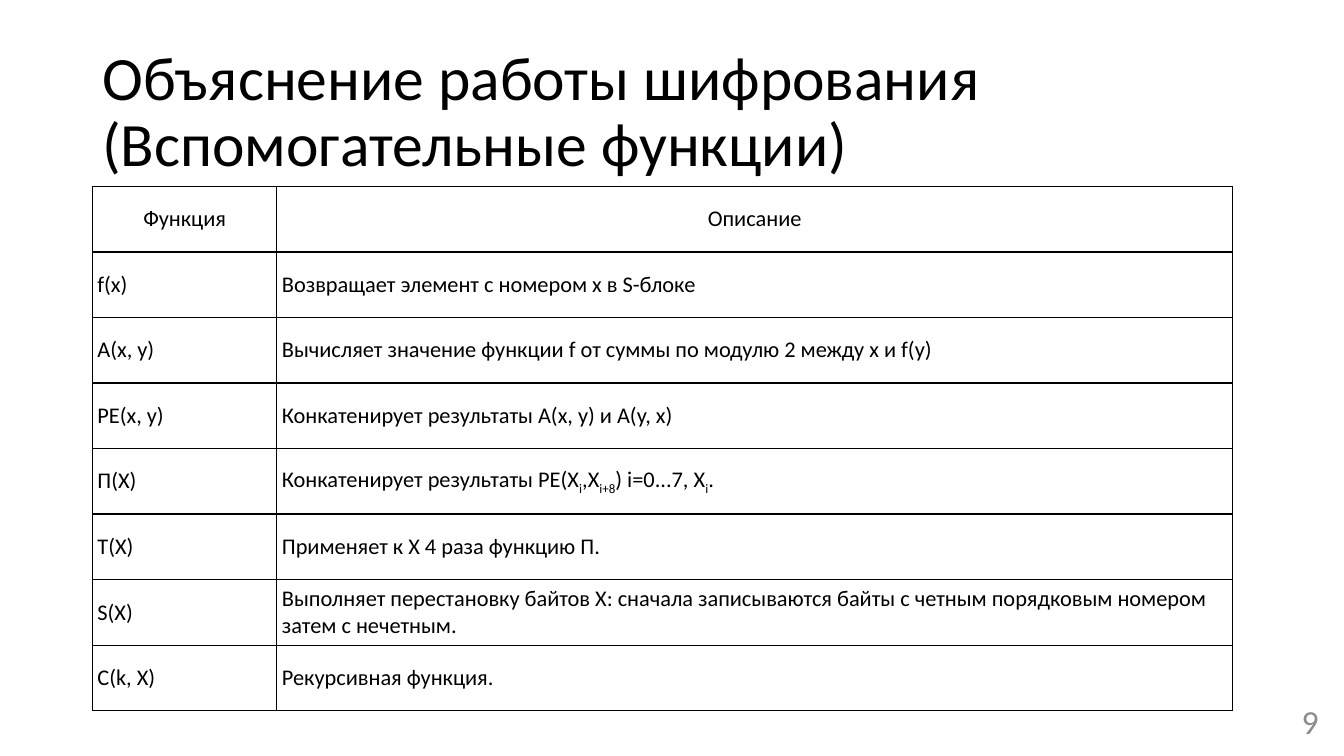
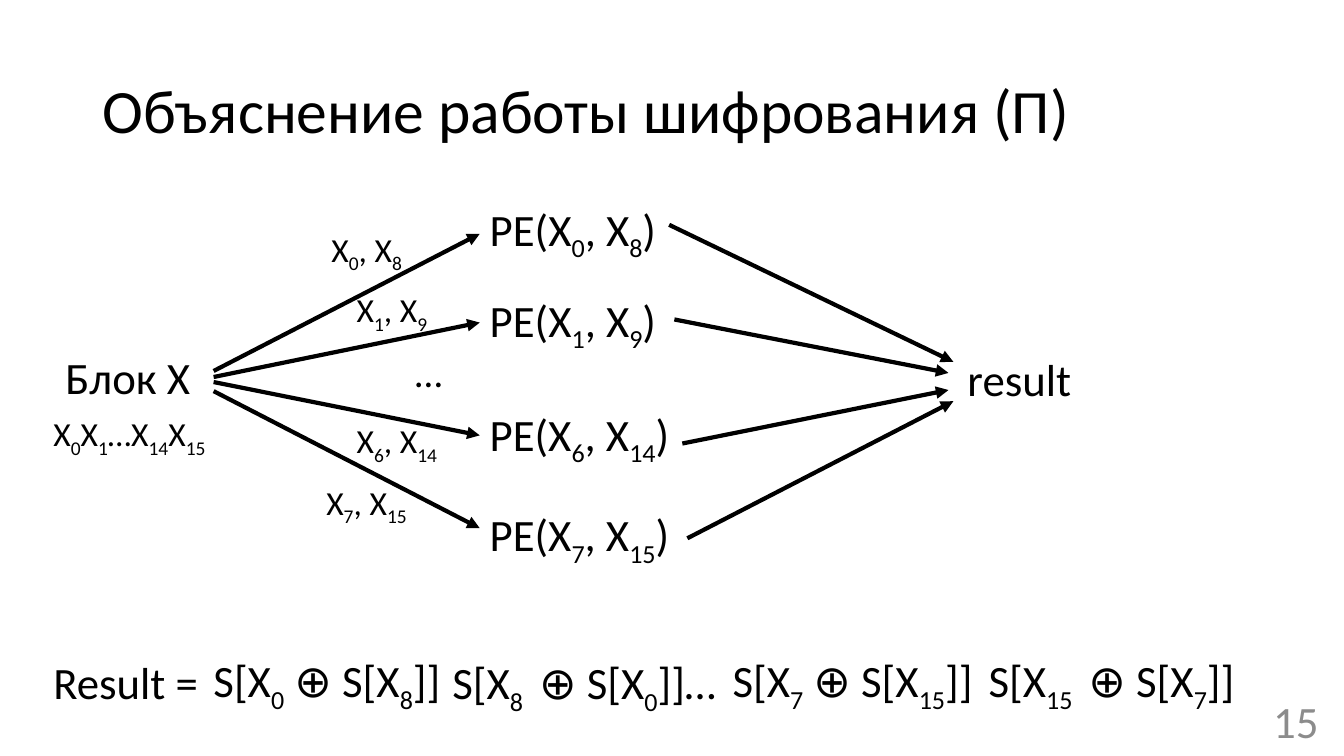
from dataclasses import dataclass

from lxml import etree
from pptx import Presentation
from pptx.dml.color import RGBColor
from pptx.enum import shapes, text
from pptx.oxml import ns
from pptx.util import Pt

FONT = "Calibri"
BLACK, GRAY = "000000", "8C8C8C"
CENTER, RIGHT = text.PP_ALIGN.CENTER, text.PP_ALIGN.RIGHT
MIDDLE = text.MSO_ANCHOR.MIDDLE
SUBSCRIPT = "-25000"


@dataclass
class Label:
    """Text at a place; parts between ~ signs are subscripts."""
    x: float
    y: float
    w: float
    content: str
    size: float = 32


@dataclass
class Branch:
    """One path from the block through PE to the result."""
    pair: Label
    func: Label
    arrow_in: tuple
    arrow_out: tuple


# Shared helpers
def rgb(value: str) -> RGBColor:
    return RGBColor.from_string(value)


def set_all(obj, values: dict) -> None:
    for name, value in values.items():
        setattr(obj, name, value)


def write(p, content: str, size: float, color: str = BLACK) -> None:
    for i, part in enumerate(content.split("~")):
        if not part:
            continue
        r = p.add_run()
        r.text = part
        set_all(r.font, {"name": FONT, "size": Pt(size), "bold": False})
        r.font.color.rgb = rgb(color)
        if i % 2:
            r._r.get_or_add_rPr().set("baseline", SUBSCRIPT)


def add_text(slide, box: tuple, content: str, size: float, frame: dict,
             para: dict, color: str = BLACK) -> None:
    tf = slide.shapes.add_textbox(*map(Pt, box)).text_frame
    set_all(tf, frame)
    p = tf.paragraphs[0]
    set_all(p, para)
    write(p, content, size, color)


def add_label(slide, label: Label) -> None:
    height = label.size * 1.22 + 7.2
    frame = {"word_wrap": False,
             "auto_size": text.MSO_AUTO_SIZE.SHAPE_TO_FIT_TEXT}
    add_text(slide, (label.x, label.y, label.w, height), label.content,
             label.size, frame, {})


def add_arrow(slide, ends: tuple) -> None:
    sp = slide.shapes.add_connector(shapes.MSO_CONNECTOR.STRAIGHT,
                                    *map(Pt, ends))
    sp.line.width = Pt(3)
    sp.line.color.rgb = rgb(BLACK)
    ln = sp.line._get_or_add_ln()
    etree.SubElement(ln, ns.qn("a:tailEnd"), type="triangle")
    etree.SubElement(sp._element.spPr, ns.qn("a:effectLst"))


def add_borders(cell) -> None:
    tc_pr = cell._tc.get_or_add_tcPr()
    for i, side in enumerate(("lnL", "lnR", "lnT", "lnB")):
        ln = etree.Element(ns.qn(f"a:{side}"), w=str(Pt(1)))
        fill = etree.SubElement(ln, ns.qn("a:solidFill"))
        etree.SubElement(fill, ns.qn("a:srgbClr"), val=BLACK)
        tc_pr.insert(i, ln)


def add_slide(prs, title: str, number: int, number_size: float):
    slide = prs.slides.add_slide(prs.slide_layouts[6])
    frame = {"word_wrap": True, "vertical_anchor": MIDDLE}
    add_text(slide, (66, 29, 828, 104), title, 44, frame,
             {"line_spacing": 0.9})
    add_text(slide, (733, 500.4, 216, 28.8), str(number), number_size, frame,
             {"alignment": RIGHT}, GRAY)
    return slide


# Content of the function table
FUNCTIONS = [
    ("Функция", "Описание"),
    ("f(x)", "Возвращает элемент с номером x в S-блоке"),
    ("A(x, y)",
     "Вычисляет значение функции f от суммы по модулю 2 между x и f(y)"),
    ("PE(x, y)", "Конкатенирует результаты A(x, y) и A(y, x)"),
    ("П(X)", "Конкатенирует результаты PE(X~i~,X~i+8~) i=0...7, X~i~."),
    ("T(X)", "Применяет к X 4 раза функцию П."),
    ("S(X)", "Выполняет перестановку байтов X: сначала записываются байты "
             "с четным порядковым номером затем с нечетным."),
    ("С(k, X)", "Рекурсивная функция."),
]
COLUMNS = (131.8, 682.6)
ROW_HEIGHT = 46.8

# Content of the diagram: starts of the arrows, PE column, ends
BLOCK_X, PE_X = 152.6, 342.7
BRANCHES = [
    Branch(Label(229.7, 159.8, 67.7, "X~0~, X~8~", 24),
           Label(PE_X, 140.4, 137.5, "PE(X~0~, X~8~)"),
           (BLOCK_X, 265, PE_X, 167), (478, 160.6, 681, 258.5)),
    Branch(Label(247.7, 203, 67.7, "X~1~, X~9~", 24),
           Label(PE_X, 205.2, 137.5, "PE(X~1~, X~9~)"),
           (BLOCK_X, 269.3, PE_X, 230.4), (481.7, 228.2, 677.5, 266.4)),
    Branch(Label(247.7, 296.6, 75.6, "X~6~, X~14~", 24),
           Label(PE_X, 286.6, 148.3, "PE(X~6~, X~14~)"),
           (BLOCK_X, 272.9, PE_X, 311), (487.4, 316.8, 677.5, 278.6)),
    Branch(Label(226, 340.6, 75.6, "X~7~, X~15~", 24),
           Label(PE_X, 358.6, 148.3, "PE(X~7~, X~15~)"),
           (BLOCK_X, 279.4, PE_X, 377.3), (491, 384.5, 681, 286.6)),
]
LABELS = [
    Label(39.6, 246.2, 104.4, "Блок X"),
    Label(31, 291.6, 131, "X~0~X~1~…X~14~X~15~", 24),
    Label(289.4, 245.5, 33.8, "…", 28),
    Label(684, 247.7, 89.3, "result"),
    # Formula of the result
    Label(31, 464.4, 126, "Result ="),
    Label(145.4, 463, 186.5, "S[X~0~ ⊕ S[X~8~]]"),
    Label(316, 464.4, 216, "S[X~8 ~ ⊕ S[X~0~]]…"),
    Label(516.2, 463, 197.3, "S[X~7~ ⊕ S[X~15~]]"),
    Label(699, 463, 202.3, "S[X~15 ~ ⊕ S[X~7~]]"),
]


def build_functions(prs) -> None:
    slide = add_slide(
        prs, "Объяснение работы шифрования (Вспомогательные функции)", 9, 24)
    rows = len(FUNCTIONS)
    table = slide.shapes.add_table(
        rows, len(COLUMNS), Pt(66), Pt(133.2), Pt(sum(COLUMNS)),
        Pt(rows * ROW_HEIGHT)).table
    set_all(table, {"first_row": False, "horz_banding": False})
    for column, width in zip(table.columns, COLUMNS):
        column.width = Pt(width)
    cell_format = {"vertical_anchor": MIDDLE,
                   "margin_left": Pt(3.6), "margin_right": Pt(3.6),
                   "margin_top": Pt(1.44), "margin_bottom": Pt(1.44)}
    for i, row in enumerate(FUNCTIONS):
        table.rows[i].height = Pt(ROW_HEIGHT)
        for j, content in enumerate(row):
            cell = table.cell(i, j)
            set_all(cell, cell_format)
            cell.fill.background()
            add_borders(cell)
            p = cell.text_frame.paragraphs[0]
            if i == 0:
                p.alignment = CENTER
            write(p, content, 16)


def build_diagram(prs) -> None:
    slide = add_slide(prs, "Объяснение работы шифрования (П)", 15, 32)
    for branch in BRANCHES:
        for ends in (branch.arrow_in, branch.arrow_out):
            add_arrow(slide, ends)
        for label in (branch.pair, branch.func):
            add_label(slide, label)
    for label in LABELS:
        add_label(slide, label)


def main() -> None:
    prs = Presentation()
    set_all(prs, {"slide_width": Pt(960), "slide_height": Pt(540)})
    build_functions(prs)
    build_diagram(prs)
    prs.save("out.pptx")


if __name__ == "__main__":
    main()
